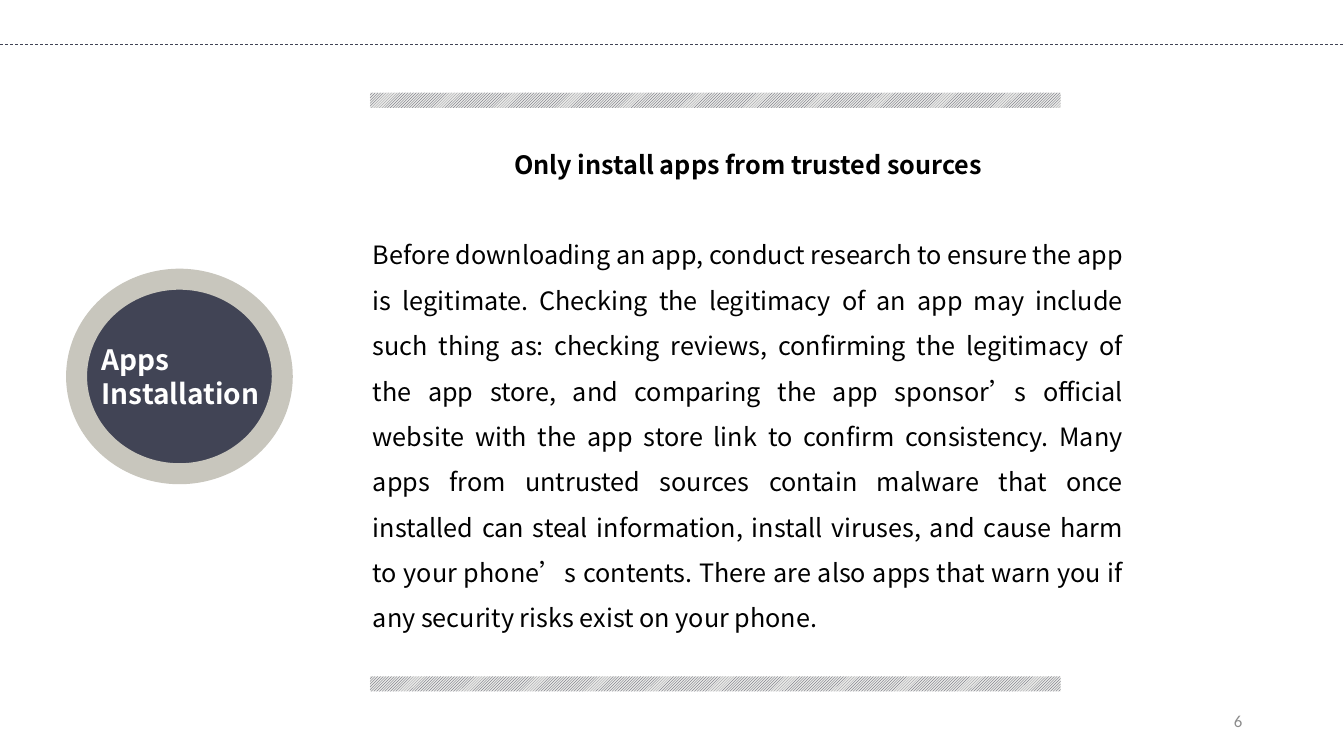
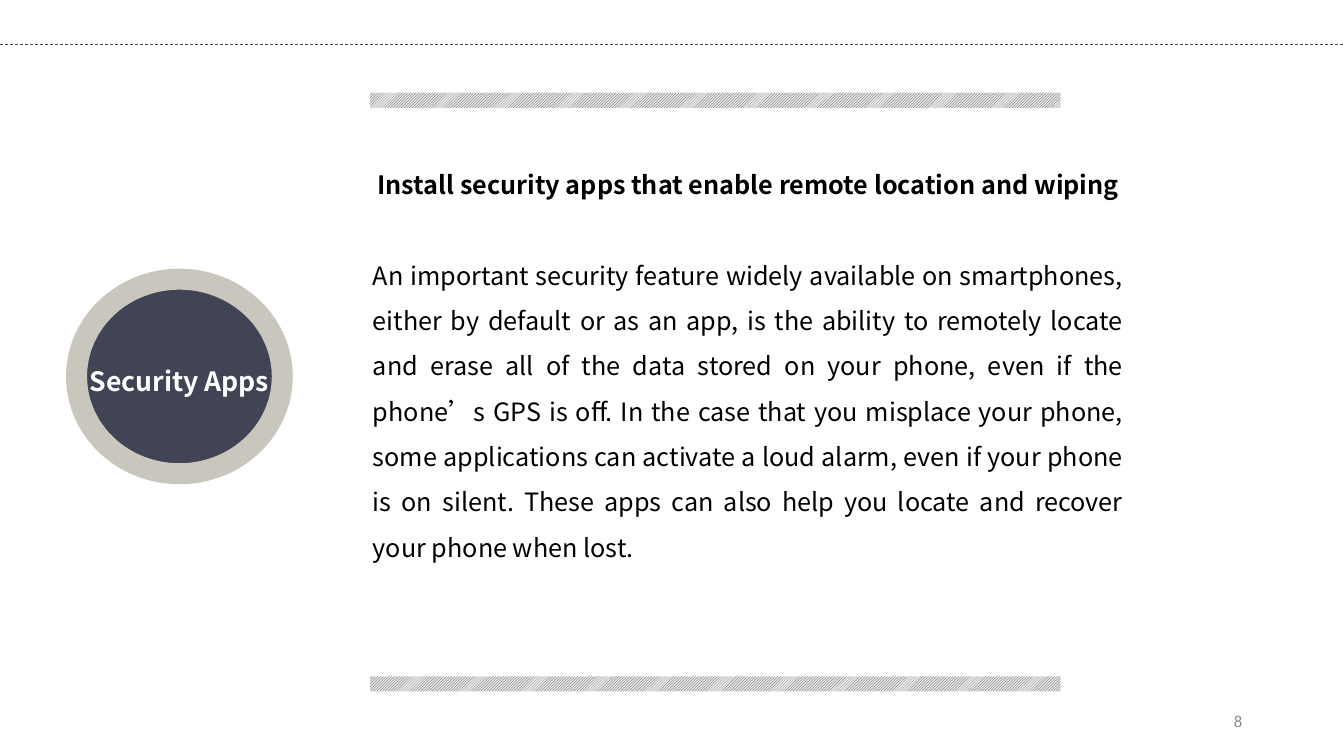
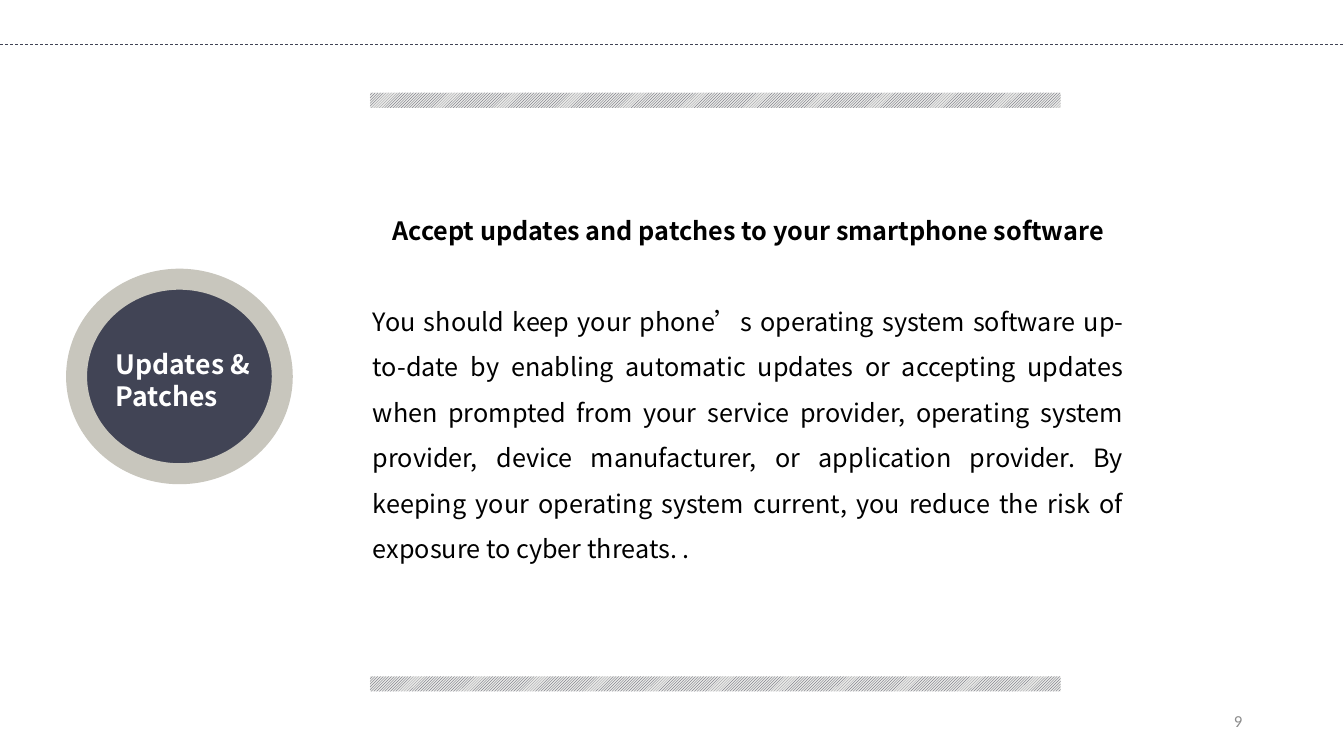
"""Build three smartphone security slides that share one frame."""

from dataclasses import dataclass

from pptx import Presentation as new_deck
from pptx.dml.color import RGBColor
from pptx.enum.dml import MSO_LINE as Dash, MSO_PATTERN as Pattern
from pptx.enum.shapes import MSO_CONNECTOR as Connector, MSO_SHAPE as Shape
from pptx.enum.text import MSO_ANCHOR as Anchor, MSO_AUTO_SIZE as AutoSize, PP_ALIGN as Align
from pptx.oxml.xmlchemy import OxmlElement
from pptx.presentation import Presentation as Deck
from pptx.slide import Slide
from pptx.text.text import TextFrame
from pptx.util import Inches, Pt


@dataclass(frozen=True)
class Theme:
    navy: RGBColor = RGBColor.from_string("414455")
    stone: RGBColor = RGBColor.from_string("C8C6BD")
    mist: RGBColor = RGBColor.from_string("E8E8E6")
    black: RGBColor = RGBColor.from_string("000000")
    white: RGBColor = RGBColor.from_string("FFFFFF")
    gray: RGBColor = RGBColor.from_string("8C8C8C")
    text_font: str = "Noto Sans CJK SC"
    number_font: str = "Calibri"
    body_size: int = 18
    number_size: int = 12
    line_spacing: float = 1.5


@dataclass(frozen=True)
class Frame:
    left: float
    top: float
    width: float
    height: float

    def lengths(self) -> tuple[Inches, Inches, Inches, Inches]:
        return Inches(self.left), Inches(self.top), Inches(self.width), Inches(self.height)


@dataclass(frozen=True)
class Style:
    size: int
    color: RGBColor
    font: str
    bold: bool = False
    align: Align = Align.LEFT
    spacing: float = 1.0


@dataclass(frozen=True)
class Topic:
    number: int
    label: str
    label_frame: Frame
    label_size: int
    heading: str
    heading_top: float
    body: str
    body_height: float


THEME = Theme()
SLIDE_WIDTH, SLIDE_HEIGHT = 13.33, 7.5
RULE_TOP = 0.44
BANDS = [Frame(3.67, top, 6.85, 0.15) for top in (6.71, 0.92)]
BADGE = Frame(0.76, 2.77, 2.04, 1.93)
NUMBER = Frame(9.42, 6.95, 3, 0.4)
TEXT_LEFT, TEXT_WIDTH = 3.6, 7.64
HEADING_HEIGHT = 0.55
HEADING_TO_BODY = 0.9

HEADING_STYLE = Style(
    THEME.body_size, THEME.black, THEME.text_font, True, Align.CENTER, THEME.line_spacing
)
BODY_STYLE = Style(
    THEME.body_size, THEME.black, THEME.text_font, False, Align.JUSTIFY, THEME.line_spacing
)
NUMBER_STYLE = Style(THEME.number_size, THEME.gray, THEME.number_font, align=Align.RIGHT)

TOPICS = [
    Topic(
        6, "Apps Installation", Frame(0.91, 3.35, 1.99, 0.77), 20,
        "Only install apps from trusted sources", 1.28,
        "Before downloading an app, conduct research to ensure the app is legitimate. "
        "Checking the legitimacy of an app may include such thing as: checking reviews, "
        "confirming the legitimacy of the app store, and comparing the app sponsor’s "
        "official website with the app store link to confirm consistency. Many apps from "
        "untrusted sources contain malware that once installed can steal information, "
        "install viruses, and cause harm to your phone’s contents. There are also apps "
        "that warn you if any security risks exist on your phone.", 4.6,
    ),
    Topic(
        8, "Security Apps", Frame(0.79, 3.57, 2.21, 0.42), 19,
        "Install security apps that enable remote location and wiping", 1.48,
        "An important security feature widely available on smartphones, either by default "
        "or as an app, is the ability to remotely locate and erase all of the data stored "
        "on your phone, even if the phone’s GPS is off. In the case that you misplace your "
        "phone, some applications can activate a loud alarm, even if your phone is on "
        "silent. These apps can also help you locate and recover your phone when lost.", 3.69,
    ),
    Topic(
        9, "Updates & Patches", Frame(1.05, 3.4, 2.21, 0.74), 19,
        "Accept updates and patches to your smartphone software", 1.94,
        "You should keep your phone’s operating system software up-to-date by enabling "
        "automatic updates or accepting updates when prompted from your service provider, "
        "operating system provider, device manufacturer, or application provider. By "
        "keeping your operating system current, you reduce the risk of exposure to cyber "
        "threats. .", 2.78,
    ),
]


def write(text_frame: TextFrame, text: str, style: Style, anchor: Anchor = Anchor.TOP) -> None:
    text_frame.text = text
    text_frame.word_wrap = True
    text_frame.auto_size = AutoSize.NONE
    text_frame.vertical_anchor = anchor
    paragraph = text_frame.paragraphs[0]
    paragraph.alignment = style.align
    paragraph.line_spacing = style.spacing
    for span in paragraph.runs:
        span.font.size = Pt(style.size)
        span.font.bold = style.bold
        span.font.color.rgb = style.color
        span.font.name = style.font
        east_asian = OxmlElement("a:ea")
        east_asian.set("typeface", style.font)
        span.font._element.append(east_asian)


def add_bands(page: Slide) -> None:
    for frame in BANDS:
        band = page.shapes.add_shape(Shape.RECTANGLE, *frame.lengths())
        band.shadow.inherit = False
        band.line.fill.background()
        band.fill.patterned()
        band.fill.pattern = Pattern.LIGHT_UPWARD_DIAGONAL
        band.fill.fore_color.rgb = THEME.navy
        band.fill.back_color.rgb = THEME.mist


def add_rule(page: Slide) -> None:
    rule = page.shapes.add_connector(
        Connector.STRAIGHT, Inches(0), Inches(RULE_TOP), Inches(SLIDE_WIDTH), Inches(RULE_TOP)
    )
    rule.line.color.rgb = THEME.navy
    rule.line.width = Pt(0.5)
    rule.line.dash_style = Dash.DASH
    rule._element.spPr.append(OxmlElement("a:effectLst"))


def add_badge(page: Slide, topic: Topic) -> None:
    badge = page.shapes.add_group_shape()
    circle = badge.shapes.add_shape(Shape.OVAL, *BADGE.lengths())
    circle.shadow.inherit = False
    circle.fill.solid()
    circle.fill.fore_color.rgb = THEME.navy
    circle.line.color.rgb = THEME.stone
    circle.line.width = Pt(15)
    label = badge.shapes.add_textbox(*topic.label_frame.lengths())
    write(label.text_frame, topic.label,
          Style(topic.label_size, THEME.white, THEME.text_font, True))


def add_text(page: Slide, topic: Topic) -> None:
    title = page.shapes.title
    heading = Frame(TEXT_LEFT, topic.heading_top, TEXT_WIDTH, HEADING_HEIGHT)
    title.left, title.top, title.width, title.height = heading.lengths()
    write(title.text_frame, topic.heading, HEADING_STYLE)
    body = Frame(TEXT_LEFT, topic.heading_top + HEADING_TO_BODY, TEXT_WIDTH, topic.body_height)
    box = page.shapes.add_textbox(*body.lengths())
    write(box.text_frame, topic.body, BODY_STYLE)


def add_topic(deck: Deck, topic: Topic) -> None:
    page = deck.slides.add_slide(deck.slide_layouts.get_by_name("Title Only"))
    add_bands(page)
    add_rule(page)
    add_text(page, topic)
    add_badge(page, topic)
    number = page.shapes.add_textbox(*NUMBER.lengths())
    write(number.text_frame, str(topic.number), NUMBER_STYLE, Anchor.MIDDLE)


def main() -> None:
    deck = new_deck()
    deck.slide_width, deck.slide_height = Inches(SLIDE_WIDTH), Inches(SLIDE_HEIGHT)
    for topic in TOPICS:
        add_topic(deck, topic)
    deck.save("out.pptx")


if __name__ == "__main__":
    main()
